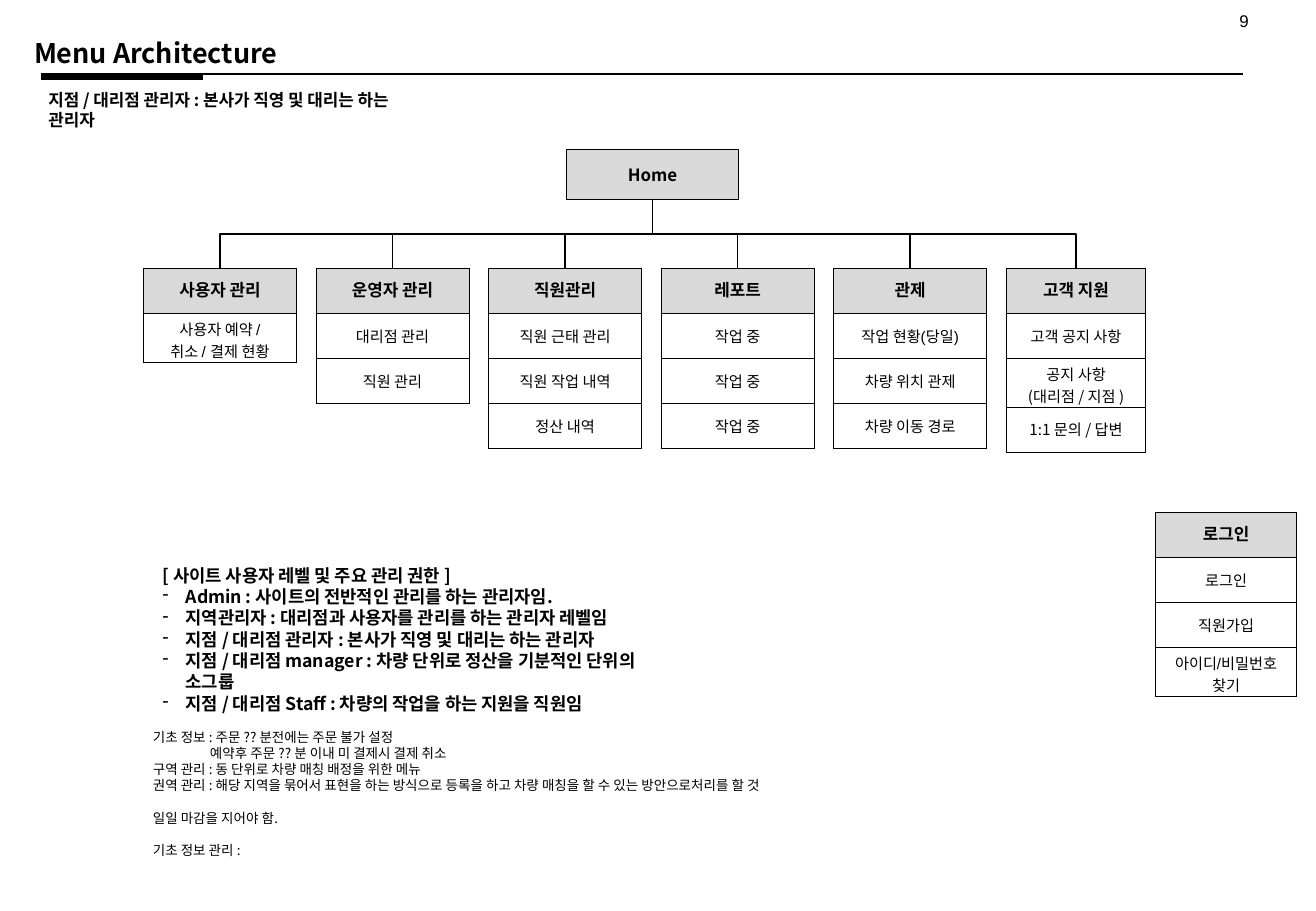
"""Build the menu architecture slide with its site map and notes."""
from lxml import etree
from pptx import Presentation
from pptx.dml.color import RGBColor
from pptx.enum.shapes import MSO_CONNECTOR, MSO_SHAPE
from pptx.enum.text import MSO_ANCHOR, PP_ALIGN
from pptx.oxml.ns import qn
from pptx.util import Inches, Pt

STRAIGHT, ELBOW = MSO_CONNECTOR.STRAIGHT, MSO_CONNECTOR.ELBOW
RECTANGLE = MSO_SHAPE.RECTANGLE
TOP, MIDDLE = MSO_ANCHOR.TOP, MSO_ANCHOR.MIDDLE
LEFT, CENTER = PP_ALIGN.LEFT, PP_ALIGN.CENTER
BLACK = RGBColor(0, 0, 0)
WHITE = RGBColor(255, 255, 255)
GRAY = RGBColor(217, 217, 217)
KOREAN, LATIN = "Noto Sans CJK KR", "Arial"

TITLE = "Menu Architecture"
SUBTITLE = "지점 / 대리점 관리자 : 본사가 직영 및 대리는 하는 관리자"
PAGE_NUMBER = "9"
MENUS = [
    ("사용자 관리", ["사용자 예약 /\v취소 / 결제 현황"], 1.26, LATIN),
    ("운영자 관리", ["대리점 관리", "직원 관리"], 1.26, LATIN),
    ("직원관리", ["직원 근태 관리", "직원 작업 내역", "정산 내역"], 1.26, LATIN),
    ("레포트", ["작업 중", "작업 중", "작업 중"], 1.26, LATIN),
    ("관제", ["작업 현황(당일)", "차량 위치 관제", "차량 이동 경로"], 1.26, LATIN),
    ("고객 지원", ["고객 공지 사항", "공지 사항\n(대리점 / 지점 )", "1:1 문의 / 답변"], 1.15, KOREAN),
]
LOGIN = ("로그인", ["로그인", "직원가입", "아이디/비밀번호\v찾기"], 1.16, LATIN)
LEVELS_HEADING = "[ 사이트 사용자 레벨 및 주요 관리 권한 ]"
LEVELS = [
    "Admin : 사이트의 전반적인 관리를 하는 관리자임.",
    "지역관리자 : 대리점과 사용자를 관리를 하는 관리자 레벨임",
    SUBTITLE,
    "지점 / 대리점 manager : 차량 단위로 정산을 기분적인 단위의 소그룹",
    "지점 / 대리점 Staff : 차량의 작업을 하는 지원을 직원임",
]
NOTES = [
    ("기초 정보 : 주문 ?? 분전에는 주문 불가 설정", 0, 0),
    ("예약후 주문 ?? 분 이내 미 결제시 결제 취소", 0.47, 0),
    ("구역 관리 : 동 단위로 차량 매칭 배정을 위한 메뉴", 0, 0),
    ("권역 관리 : 해당 지역을 묶어서 표현을 하는 방식으로 등록을 하고 "
     "차량 매칭을 할 수 있는 방안으로처리를 할 것", 0, 0),
    ("일일 마감을 지어야 함.", 0, 9.6),
    ("기초 정보 관리 :", 0, 9.6),
]

MENU_LEFT, MENU_TOP, MENU_PITCH = 1.18, 2.21, 1.42
LOGIN_LEFT, LOGIN_TOP = 9.51, 4.22
ROW_HEIGHT, TALL_ROW_HEIGHT = 0.37, 0.4
HOME_LEFT, HOME_TOP, HOME_WIDTH, HOME_HEIGHT = 4.66, 1.23, 1.42, 0.41
RULES = [(0.34, 10.23, 0.61, 1), (0.34, 1.67, 0.64, 3)]


def format_text(frame, size, bold=False, face=KOREAN, align=LEFT, spacing=1.2):
    """Give every paragraph and span in the frame one look."""
    for para in frame.paragraphs:
        para.alignment = align
        para.line_spacing = Pt(round(size * spacing, 1))
        for span in para.runs:
            look = {"size": Pt(size), "bold": bold, "name": face}
            for name, value in look.items():
                setattr(span.font, name, value)
            span.font.color.rgb = BLACK
            east_asian = etree.SubElement(span.font._element, qn("a:ea"))
            east_asian.set("typeface", KOREAN)


def place(shape, *lengths):
    """Set the left, top, width and height of a shape in inches."""
    for name, value in zip(("left", "top", "width", "height"), lengths):
        setattr(shape, name, Inches(value))


def add_text(page, lengths, lines, anchor=TOP, **look):
    """Add a wrapping text box with one paragraph per line."""
    frame = page.shapes.add_textbox(*map(Inches, lengths)).text_frame
    frame.word_wrap = True
    frame.vertical_anchor = anchor
    frame.text = "\n".join(lines)
    format_text(frame, **look)
    return frame


def add_line(page, kind, start, end, weight):
    """Add a black connector between two points in inches."""
    line = page.shapes.add_connector(kind, *map(Inches, (*start, *end)))
    line.line.color.rgb = BLACK
    line.line.width = Pt(weight)
    etree.SubElement(line._element.spPr, qn("a:effectLst"))
    return line


def add_branch(page, menu_center):
    """Add an elbow from the top of a menu to the bottom of Home."""
    home_center = HOME_LEFT + HOME_WIDTH / 2
    home_bottom = HOME_TOP + HOME_HEIGHT
    middle_x = (menu_center + home_center) / 2
    middle_y = (MENU_TOP + home_bottom) / 2
    half_rise = (MENU_TOP - home_bottom) / 2
    half_span = abs(menu_center - home_center) / 2
    side = 1 if menu_center > home_center else -1
    start = (middle_x - side * half_rise, middle_y + half_span)
    end = (middle_x + side * half_rise, middle_y - half_span)
    branch = add_line(page, ELBOW, start, end, 1)
    degrees = 270 if side > 0 else 90
    branch._element.spPr.find(qn("a:xfrm")).set("rot", str(degrees * 60000))


def add_borders(cell):
    """Draw thin black borders on all sides of a cell."""
    properties = cell._tc.get_or_add_tcPr()
    for index, side in enumerate(("lnL", "lnR", "lnT", "lnB")):
        border = etree.Element(qn(f"a:{side}"), w=str(Pt(0.5)))
        fill = etree.SubElement(border, qn("a:solidFill"))
        etree.SubElement(fill, qn("a:srgbClr"), val=str(BLACK))
        properties.insert(index, border)


def add_menu(page, menu, left, top):
    """Add a one-column table with a gray heading cell."""
    heading, items, width, face = menu
    texts = [heading, *items]
    heights = [TALL_ROW_HEIGHT if len(text.splitlines()) > 1 else ROW_HEIGHT for text in texts]
    lengths = map(Inches, (left, top, width, sum(heights)))
    table = page.shapes.add_table(len(texts), 1, *lengths).table
    table.first_row = table.horz_banding = False
    for index, (text, height) in enumerate(zip(texts, heights)):
        table.rows[index].height = Inches(height)
        cell = table.cell(index, 0)
        cell.vertical_anchor = MIDDLE
        cell.fill.solid()
        cell.fill.fore_color.rgb = WHITE if index else GRAY
        add_borders(cell)
        cell.text_frame.text = text
        if index:
            format_text(cell.text_frame, 9, face=face, align=CENTER, spacing=1.44)
        else:
            format_text(cell.text_frame, 10, bold=True, align=CENTER)
        if height == TALL_ROW_HEIGHT:
            margins = {"left": 0.05, "right": 0.05, "top": 0.04, "bottom": 0}
            for side, value in margins.items():
                setattr(cell, f"margin_{side}", Inches(value))


def add_levels(page):
    """Add the list of user levels with dash bullets."""
    frame = add_text(page, (1.24, 4.6, 4.49, 1.16), [LEVELS_HEADING, *LEVELS], size=10.5, bold=True)
    for para in frame.paragraphs[1:]:
        properties = para._p.get_or_add_pPr()
        properties.set("marL", str(Inches(0.19)))
        properties.set("indent", str(Inches(-0.19)))
        etree.SubElement(properties, qn("a:buChar"), char="-")


def add_notes_text(page):
    """Add the small remarks with their indents and gaps."""
    frame = add_text(page, (1.16, 5.95, 5.97, 1.18), [text for text, _, _ in NOTES], size=8)
    for para, (_, indent, gap) in zip(frame.paragraphs, NOTES):
        para._p.get_or_add_pPr().set("marL", str(Inches(indent)))
        para.space_before = Pt(gap)


def main():
    """Compose the slide and save the deck."""
    deck = Presentation()
    deck.slide_width, deck.slide_height = Inches(10.83), Inches(7.5)
    page = deck.slides.add_slide(deck.slide_layouts[5])

    title = page.shapes.title
    place(title, 0.18, 0.25, 4.67, 0.37)
    title.text_frame.text = TITLE
    title.text_frame.vertical_anchor = TOP
    format_text(title.text_frame, 16, bold=True)

    add_text(page, (10.1, 0.04, 0.38, 0.27), [PAGE_NUMBER], size=10, face=LATIN)
    add_text(page, (0.3, 0.77, 3.38, 0.27), [SUBTITLE], anchor=MIDDLE, size=10, bold=True)
    for left, right, height, weight in RULES:
        add_line(page, STRAIGHT, (left, height), (right, height), weight)

    lengths = map(Inches, (HOME_LEFT, HOME_TOP, HOME_WIDTH, HOME_HEIGHT))
    home = page.shapes.add_shape(RECTANGLE, *lengths)
    home.shadow.inherit = False
    home.fill.solid()
    home.fill.fore_color.rgb = GRAY
    home.line.color.rgb = BLACK
    home.line.width = Pt(0.5)
    home.text_frame.text = "Home"
    home.text_frame.vertical_anchor = MIDDLE
    format_text(home.text_frame, 10, bold=True, align=CENTER)

    for index, menu in enumerate(MENUS):
        left = MENU_LEFT + index * MENU_PITCH
        add_branch(page, left + menu[2] / 2)
        add_menu(page, menu, left, MENU_TOP)
    add_menu(page, LOGIN, LOGIN_LEFT, LOGIN_TOP)
    add_levels(page)
    add_notes_text(page)
    deck.save("out.pptx")


if __name__ == "__main__":
    main()
